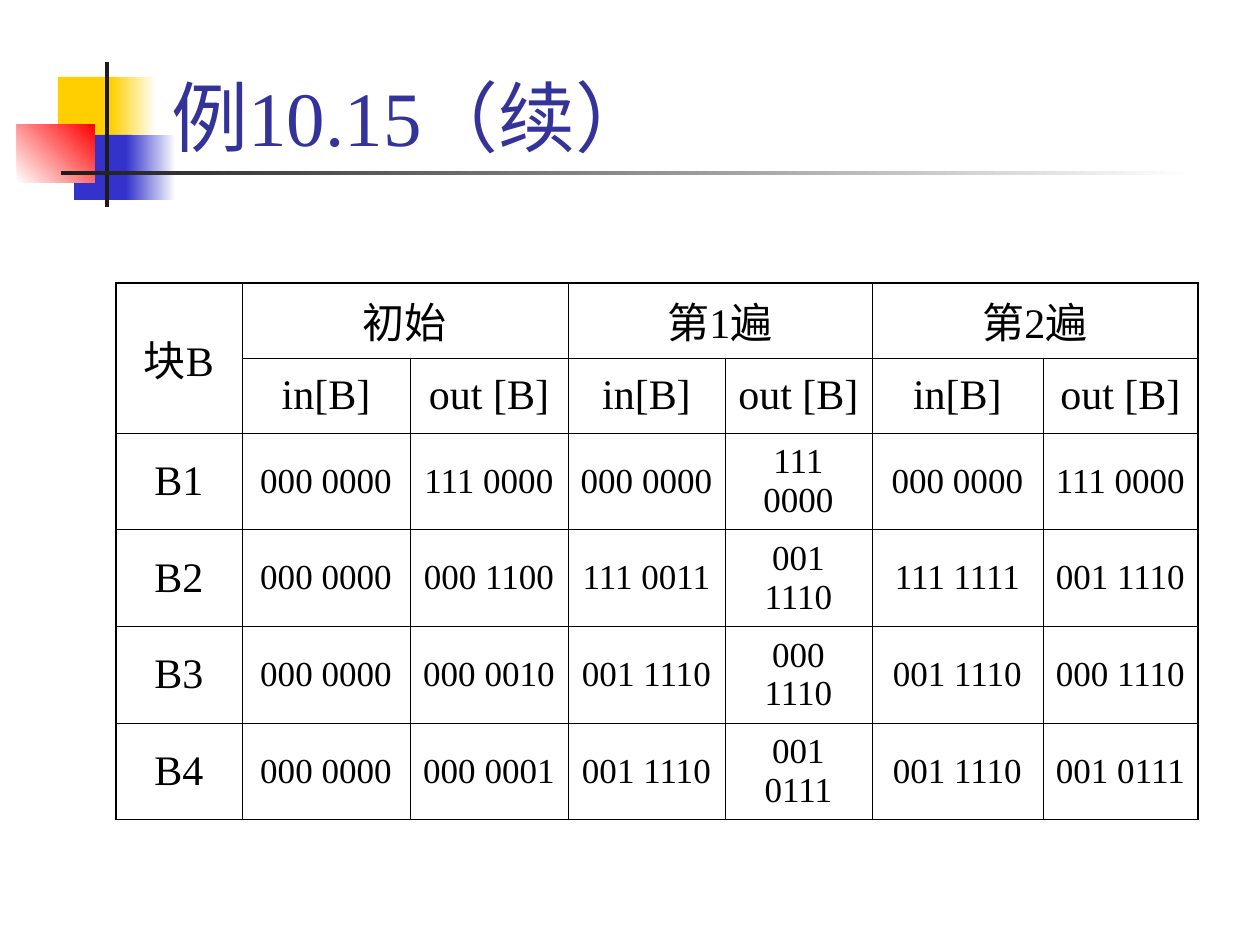
from lxml import etree
from pptx import Presentation
from pptx.dml.color import RGBColor
from pptx.enum.shapes import MSO_SHAPE
from pptx.enum.text import MSO_ANCHOR, PP_ALIGN
from pptx.oxml.ns import qn
from pptx.util import Pt

RECTANGLE = MSO_SHAPE.RECTANGLE
BOTTOM, MIDDLE = MSO_ANCHOR.BOTTOM, MSO_ANCHOR.MIDDLE
LEFT, CENTER = PP_ALIGN.LEFT, PP_ALIGN.CENTER
EMU_PER_PX = 914400 / 126
FONT = "Times New Roman"
THIN, THICK = Pt(0.45), Pt(1.08)
COLORS = {
    "yellow": "FFCF01",
    "blue": "3333CC",
    "red": "FF0000",
    "dark": "1C1C1C",
    "white": "FFFFFF",
    "title": "333399",
    "black": "000000",
}
MOTIF = [
    ((41, 15, 60, 65), ["yellow"], 0),
    ((94, 15, 45, 65), ["yellow", "white"], 0),
    ((57, 73, 58, 65), ["blue"], 0),
    ((109, 73, 50, 65), ["blue", "white"], 0),
    ((0, 62, 78, 59), ["white", "red"], 45),
    ((88, 0, 4, 145), ["dark"], 0),
    ((44, 109, 1134, 4), ["dark", "white"], 0),
]
COLUMN_WIDTHS = [126, 168, 158, 157, 147, 171, 155]
ROW_HEIGHT = 75
PASSES = ["初始", "第1遍", "第2遍"]
BLOCKS = {
    "B1": ["000 0000", "111 0000", "000 0000", "111 0000", "000 0000", "111 0000"],
    "B2": ["000 0000", "000 1100", "111 0011", "001 1110", "111 1111", "001 1110"],
    "B3": ["000 0000", "000 0010", "001 1110", "000 1110", "001 1110", "000 1110"],
    "B4": ["000 0000", "000 0001", "001 1110", "001 0111", "001 1110", "001 0111"],
}


def px(length):
    return round(length * EMU_PER_PX)


def rgb(name):
    return RGBColor.from_string(COLORS[name])


def write(para, text, color, para_format, font_format):
    span = para.add_run()
    span.text = text
    span.font.color.rgb = rgb(color)
    for target, values in ((para, para_format), (span.font, font_format)):
        for name, value in values.items():
            setattr(target, name, value)


def add_motif(page, box):
    left, top = box[:2]
    for (x, y, width, height), colors, angle in MOTIF:
        part = page.shapes.add_shape(
            RECTANGLE, px(left + x), px(top + y), px(width), px(height)
        )
        part.shadow.inherit = False
        part.line.fill.background()
        if len(colors) == 1:
            part.fill.solid()
            part.fill.fore_color.rgb = rgb(colors[0])
        else:
            part.fill.gradient()
            part.fill.gradient_angle = angle
            for stop, color in zip(part.fill.gradient_stops, colors):
                stop.color.rgb = rgb(color)


def add_title(page, box, text):
    frame = page.shapes.add_textbox(*map(px, box)).text_frame
    frame.word_wrap = True
    frame.vertical_anchor = BOTTOM
    write(frame.paragraphs[0], text, "title", {"alignment": LEFT},
          {"name": FONT, "size": Pt(44)})


def set_borders(cell, widths):
    properties = cell._tc.get_or_add_tcPr()
    for index, (side, width) in enumerate(widths.items()):
        line = etree.Element(qn(f"a:ln{side}"), w=str(int(width)))
        fill = etree.SubElement(line, qn("a:solidFill"))
        etree.SubElement(fill, qn("a:srgbClr"), val=COLORS["black"])
        properties.insert(index, line)


def fill_cell(cell, text, size):
    cell.vertical_anchor = MIDDLE
    cell.fill.background()
    write(cell.text_frame.paragraphs[0], text, "black",
          {"alignment": CENTER, "space_before": Pt(size / 4)},
          {"name": FONT, "size": Pt(size)})


def add_flow_table(page, box):
    pass_row = ["块B"] + [text for name in PASSES for text in (name, "")]
    set_row = [""] + ["in[B]", "out [B]"] * len(PASSES)
    rows = [pass_row, set_row] + [[name, *sets] for name, sets in BLOCKS.items()]
    row_count, column_count = len(rows), len(COLUMN_WIDTHS)
    table = page.shapes.add_table(row_count, column_count, *map(px, box)).table
    table.first_row = table.horz_banding = False
    for column, width in zip(table.columns, COLUMN_WIDTHS):
        column.width = px(width)
    for row in table.rows:
        row.height = px(ROW_HEIGHT)
    table.cell(0, 0).merge(table.cell(1, 0))
    for column in range(1, column_count, 2):
        table.cell(0, column).merge(table.cell(0, column + 1))

    for r, texts in enumerate(rows):
        for c, text in enumerate(texts):
            cell = table.cell(r, c)
            if cell.is_spanned:
                continue
            fill_cell(cell, text, 24 if r < 2 or c == 0 else 20)
            outer = {
                "L": c == 0,
                "R": c + cell.span_width == column_count,
                "T": r == 0,
                "B": r + cell.span_height == row_count,
            }
            set_borders(cell, {s: THICK if edge else THIN for s, edge in outer.items()})


def main():
    deck = Presentation()
    deck.slide_width, deck.slide_height = px(1260), px(945)
    page = deck.slides.add_slide(deck.slide_layouts[6])
    add_motif(page, (17, 62, 1178, 145))
    add_title(page, (159, 10, 1074, 158), "例10.15（续）")
    add_flow_table(page, (116, 283, sum(COLUMN_WIDTHS), 6 * ROW_HEIGHT))
    deck.save("out.pptx")


if __name__ == "__main__":
    main()
